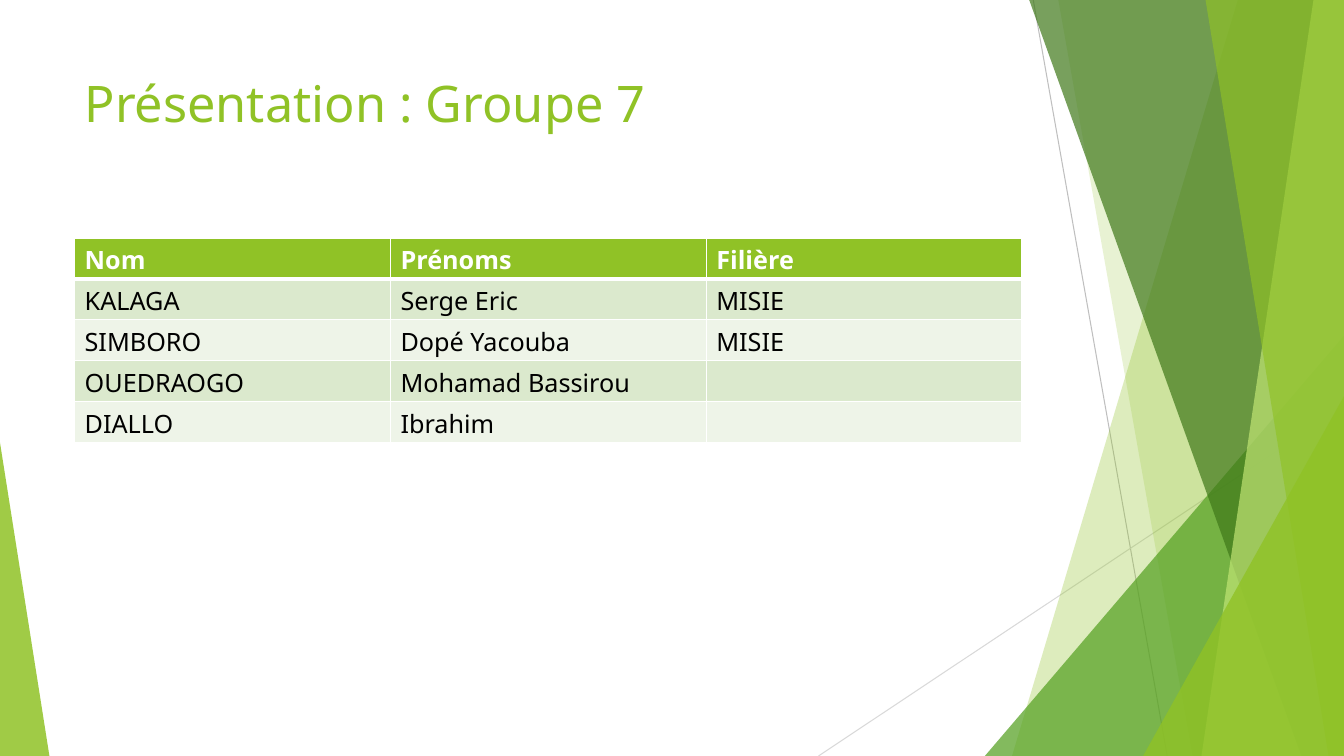
from lxml import etree
from pptx import Presentation
from pptx.dml.color import RGBColor
from pptx.enum.shapes import MSO_CONNECTOR as Connector, MSO_SHAPE as Shape
from pptx.oxml.ns import qn
from pptx.util import Emu, Inches, Pt

WIDTH, HEIGHT = Inches(13.333), Inches(7.5)
FONT = "Noto Sans"
COLORS = {
    "lime": "90C226", "green": "54A021", "forest": "3F7819", "pale": "C0E474",
    "gray": "BFBFBF", "silver": "D9D9D9", "white": "FFFFFF", "black": "000000",
    "odd_row": "DBE9CD", "even_row": "EEF4E8",
}
MEMBERS = [
    ("Nom", "Prénoms", "Filière"),
    ("KALAGA", "Serge Eric", "MISIE"),
    ("SIMBORO", "Dopé Yacouba", "MISIE"),
    ("OUEDRAOGO", "Mohamad Bassirou", ""),
    ("DIALLO", "Ibrahim", ""),
]


def across(percent):
    return Emu(round(WIDTH * percent / 100))


def down(percent):
    return Emu(round(HEIGHT * percent / 100))


def rgb(name):
    return RGBColor.from_string(COLORS[name])


def paint(facet, color, opacity):
    facet.shadow.inherit = False
    facet.line.fill.background()
    facet.fill.solid()
    facet.fill.fore_color.rgb = rgb(color)
    tint = facet.fill._xPr.find(qn("a:solidFill"))[0]
    etree.SubElement(tint, qn("a:alpha"), val=str(opacity * 1000))


def add_ray(slide, start, end, color):
    ray = slide.shapes.add_connector(
        Connector.STRAIGHT, across(start[0]), down(start[1]), across(end[0]), down(end[1]))
    ray.line.color.rgb = rgb(color)
    ray.line.width = Pt(0.75)
    etree.SubElement(ray._element.spPr, qn("a:effectLst"))


def add_band(slide, top_x, bottom_x, color, opacity):
    outline = slide.shapes.build_freeform(across(top_x), 0)
    outline.add_line_segments(
        [(WIDTH, 0), (WIDTH, HEIGHT), (across(bottom_x), HEIGHT)], close=True)
    paint(outline.convert_to_shape(), color, opacity)


def add_corner(slide, left, top, width, apex, color, opacity):
    corner = slide.shapes.add_shape(
        Shape.ISOSCELES_TRIANGLE, across(left), down(top), across(width), down(100 - top))
    corner.adjustments[0] = apex
    paint(corner, color, opacity)


def style_text(paragraph, size, color, bold=False):
    font = paragraph.font
    font.name, font.size, font.bold = FONT, Pt(size), bold
    font.color.rgb = rgb(color)


def add_title(slide, wording):
    title = slide.shapes.add_textbox(across(5.55), down(8.93), across(70.5), down(19.2))
    title.text_frame.word_wrap = True
    paragraph = title.text_frame.paragraphs[0]
    paragraph.text = wording
    style_text(paragraph, 36, "lime")


def add_borders(cell, top, bottom):
    properties = cell._tc.get_or_add_tcPr()
    for side, points in (("L", 1), ("R", 1), ("T", top), ("B", bottom)):
        border = etree.SubElement(properties, qn(f"a:ln{side}"), w=str(Pt(points)))
        fill = etree.SubElement(border, qn("a:solidFill"))
        etree.SubElement(fill, qn("a:srgbClr"), val=COLORS["white"])


def add_members(slide, rows):
    table = slide.shapes.add_table(
        len(rows), len(rows[0]), across(5.55), down(31.47), across(70.5), down(27.07)).table
    for r, row in enumerate(rows):
        header = r == 0
        background = "lime" if header else "odd_row" if r % 2 else "even_row"
        for c, wording in enumerate(row):
            cell = table.cell(r, c)
            add_borders(cell, 3 if r == 1 else 1, 3 if header else 1)
            cell.fill.solid()
            cell.fill.fore_color.rgb = rgb(background)
            paragraph = cell.text_frame.paragraphs[0]
            if wording:
                paragraph.text = wording
            style_text(paragraph, 18, "white" if header else "black", header)


def add_facets(slide):
    add_ray(slide, (76.88, 0), (86.85, 100), "gray")
    add_ray(slide, (100, 53.73), (60.9, 100), "silver")
    add_band(slide, 92.1, 75.3, "lime", 30)
    add_band(slide, 78.75, 88.73, "lime", 20)
    add_corner(slide, 73.28, 44.4, 26.72, 1, "green", 72)
    add_band(slide, 76.58, 96.83, "forest", 70)
    add_band(slide, 97.73, 89.4, "pale", 70)
    add_band(slide, 89.7, 98.85, "lime", 65)
    add_corner(slide, 85.05, 52.4, 14.95, 1, "lime", 80)
    add_corner(slide, 0, 58.53, 3.68, 0, "lime", 85)


def main():
    deck = Presentation()
    deck.slide_width, deck.slide_height = WIDTH, HEIGHT
    slide = deck.slides.add_slide(deck.slide_layouts[6])
    add_facets(slide)
    add_title(slide, "Présentation : Groupe 7")
    add_members(slide, MEMBERS)
    deck.save("out.pptx")


if __name__ == "__main__":
    main()
